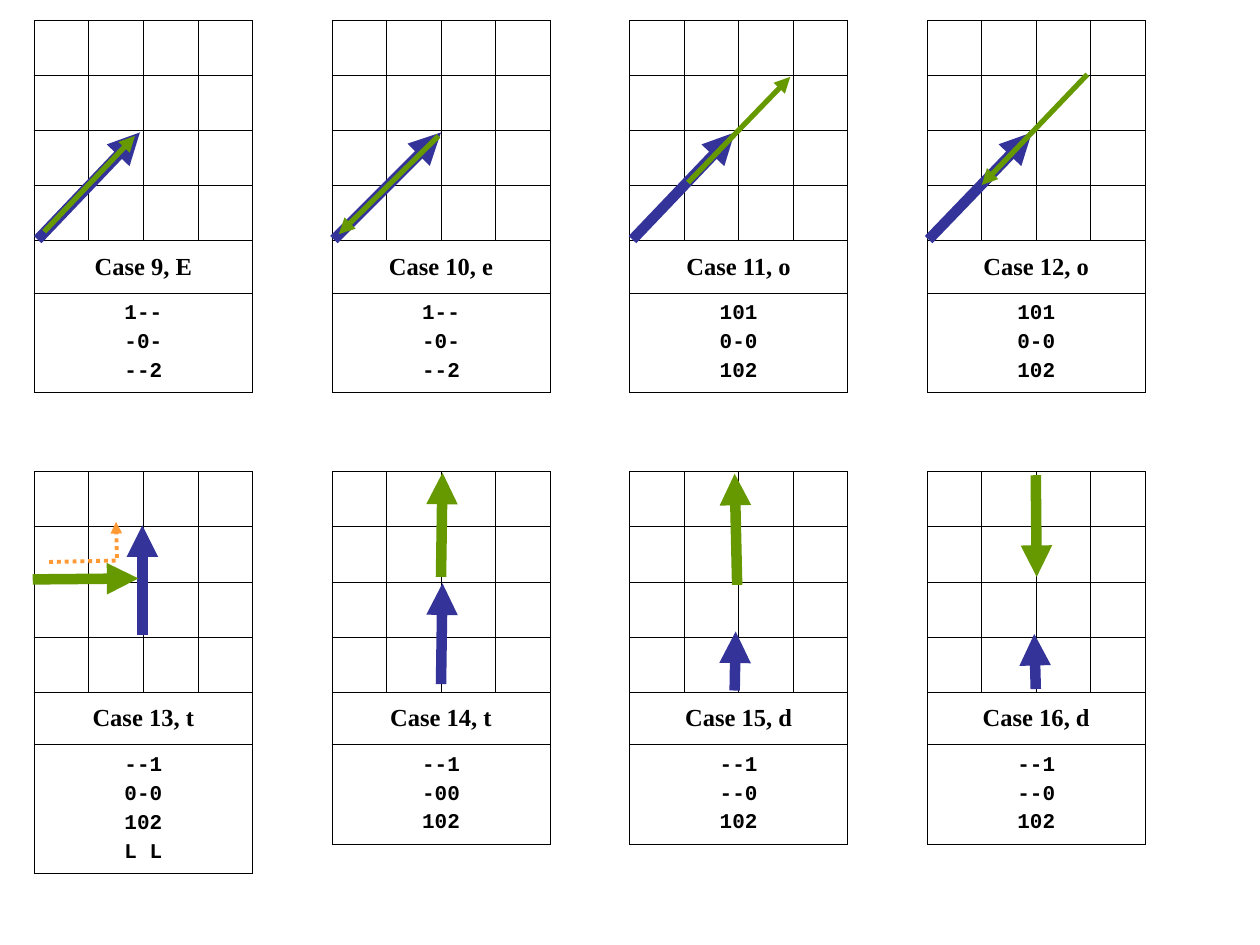
"""Build a slide of eight arrow cases, each a grid table with its code matrix."""
from lxml import etree
from pptx import Presentation
from pptx import util as u
from pptx.dml.color import RGBColor
from pptx.enum import dml, shapes, text
from pptx.oxml import parse_xml
from pptx.oxml.ns import nsdecls, qn

hue = RGBColor.from_string


def write(cell, words, font="Times New Roman", size=14, gap=3.5):
    cell.vertical_anchor = text.MSO_ANCHOR.MIDDLE
    cell.margin_left = cell.margin_right = u.Cm(0.25)
    cell.margin_top = cell.margin_bottom = u.Cm(0.13)
    cell.text = words
    for para in cell.text_frame.paragraphs:
        para.alignment = text.PP_ALIGN.CENTER
        para.space_before = u.Pt(gap)
        run = para.runs[0].font
        run.name, run.size, run.bold = font, u.Pt(size), True
        run.color.rgb = hue("000000")


def point(shape, color, width):
    shape.line.color.rgb = hue(color)
    shape.line.width = u.Pt(width)
    tail = etree.SubElement(shape.line._get_or_add_ln(), qn("a:tailEnd"))
    tail.set("type", "triangle")


deck = Presentation()
deck.slide_width, deck.slide_height = u.Cm(25.4), u.Cm(19.05)
slide = deck.slides.add_slide(deck.slide_layouts[6])

BLUE, GREEN, ORANGE = "333399", "669900", "FF9933"
COLS, SIDE, HEAD, LINE = 4, 1.11, 1.06, 0.59
WIDE = 1.1

cases = [
    ("Case 9, E", "1--\n-0-\n--2", (0.76, 4.83, 2.82, 2.67), (0.89, 4.67, 2.72, 2.74), 3),
    ("Case 10, e", "1--\n-0-\n--2", (6.73, 4.83, 8.89, 2.67), (8.84, 2.74, 6.83, 4.72), 3),
    ("Case 11, o", "101\n0-0\n102", (12.75, 4.83, 14.81, 2.67), (13.87, 3.68, 15.93, 1.55), 3),
    ("Case 12, o", "101\n0-0\n102", (18.72, 4.83, 20.8, 2.67), (21.92, 1.5, 19.79, 3.73), 3),
    ("Case 13, t", "--1\n0-0\n102\nL L", (2.87, 12.8, 2.87, 10.59), (0.66, 11.68, 2.79, 11.66), 6),
    ("Case 14, t", "--1\n-00\n102", (8.89, 13.79, 8.92, 11.76), (8.89, 11.63, 8.92, 9.53), 6),
    ("Case 15, d", "--1\n--0\n102", (14.81, 13.92, 14.83, 12.73), (14.86, 11.79, 14.81, 9.55), 6),
    ("Case 16, d", "--1\n--0\n102", (20.88, 13.89, 20.85, 12.78), (20.88, 9.58, 20.9, 11.63), 6),
]

for num, (title, code, first, second, width) in enumerate(cases):
    row, col = divmod(num, COLS)
    left, top = 0.69 + 6 * col, 0.41 + 9.1 * row
    highs = [SIDE] * 4 + [HEAD, 0.24 + LINE * len(code.split("\n"))]
    grid = slide.shapes.add_table(
        6, COLS, u.Cm(left), u.Cm(top), u.Cm(WIDE * COLS), u.Cm(sum(highs))
    ).table
    grid.first_row = grid.horz_banding = False
    for band, high in zip(grid.rows, highs):
        band.height = u.Cm(high)
    for band in grid.columns:
        band.width = u.Cm(WIDE)
    for cell in grid.iter_cells():
        cell.margin_top = cell.margin_bottom = 0
        cell.fill.background()
        for spot, edge in enumerate(("lnL", "lnR", "lnT", "lnB")):
            cell._tc.tcPr.insert(spot, parse_xml(
                f'<a:{edge} {nsdecls("a")} w="5715"><a:solidFill>'
                f'<a:srgbClr val="000000"/></a:solidFill></a:{edge}>'))
    for low in (4, 5):
        grid.cell(low, 0).merge(grid.cell(low, COLS - 1))
    write(grid.cell(4, 0), title)
    write(grid.cell(5, 0), code, font="Courier New", size=12, gap=3)

    for ends, color, thick in ((first, BLUE, 6), (second, GREEN, width)):
        arrow = slide.shapes.add_connector(
            shapes.MSO_CONNECTOR.STRAIGHT, *[u.Cm(end) for end in ends])
        point(arrow, color, thick)
        etree.SubElement(arrow._element.spPr, qn("a:effectLst"))

path = slide.shapes.build_freeform(u.Cm(0.99), u.Cm(11.33))
path.add_line_segments([(u.Cm(2.36), u.Cm(11.3)), (u.Cm(2.34), u.Cm(10.52))], close=False)
bend = path.convert_to_shape()
bend.shadow.inherit = False
bend.fill.background()
bend.line.dash_style = dml.MSO_LINE.ROUND_DOT
point(bend, ORANGE, 2.25)

deck.save("out.pptx")
